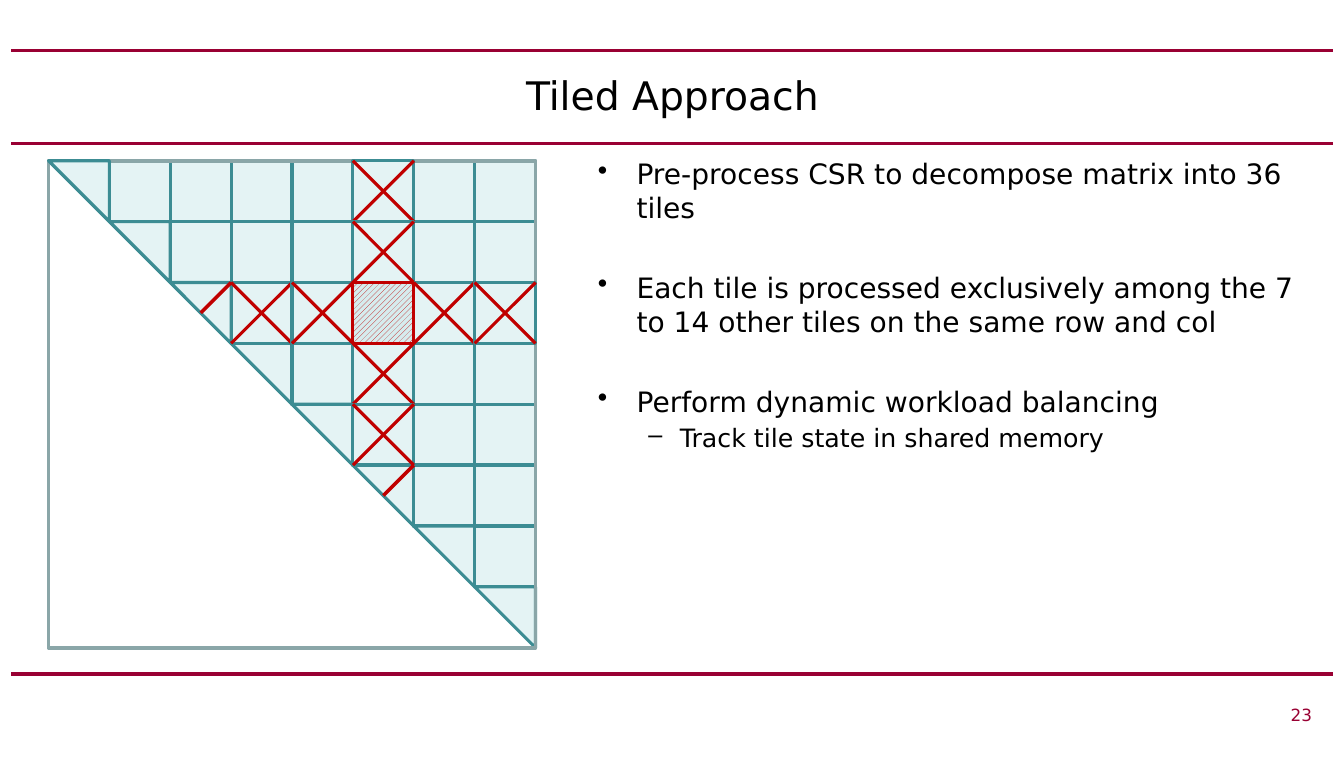
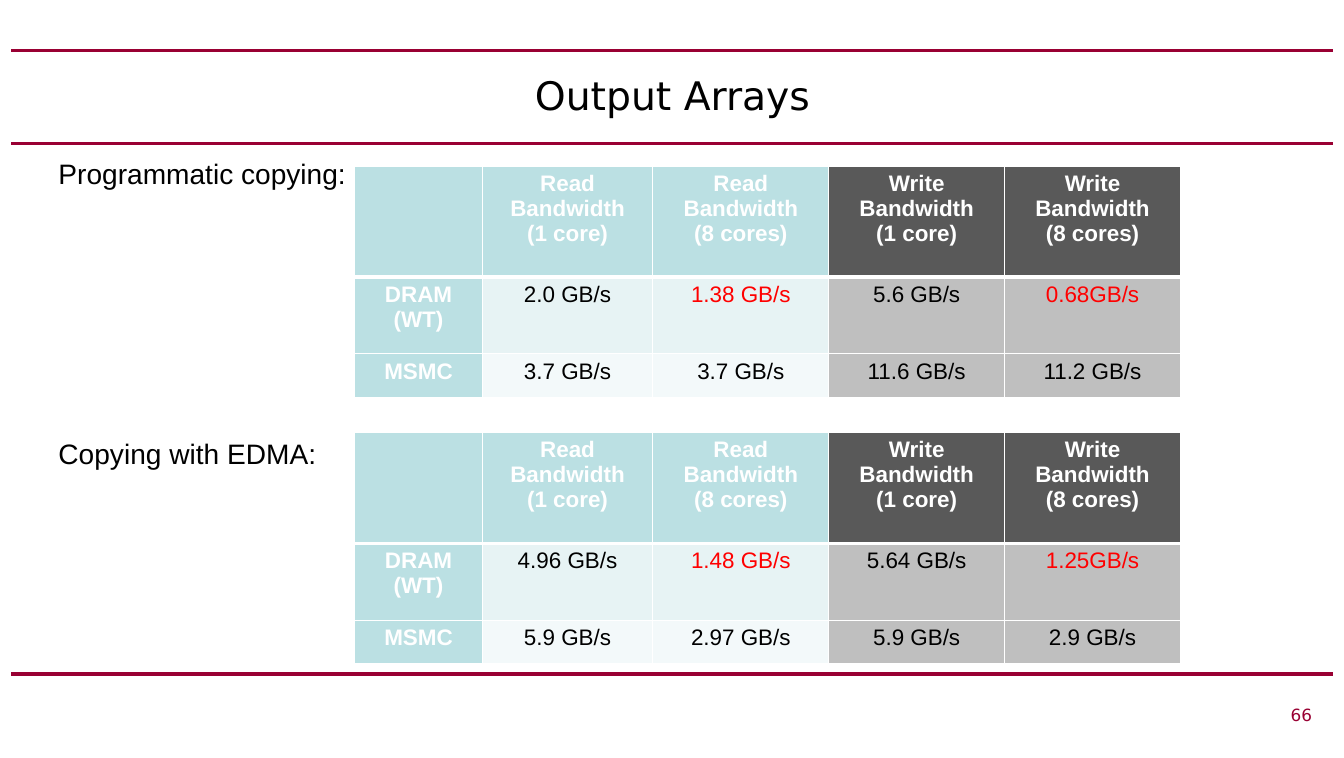
from itertools import product

from lxml import etree
from pptx import Presentation
from pptx.dml.color import RGBColor
from pptx.enum.dml import MSO_PATTERN
from pptx.enum.shapes import MSO_CONNECTOR, MSO_SHAPE
from pptx.enum.text import MSO_ANCHOR, PP_ALIGN
from pptx.oxml.ns import qn
from pptx.util import Cm, Pt

STRAIGHT = MSO_CONNECTOR.STRAIGHT
RECT, TRIANGLE = MSO_SHAPE.RECTANGLE, MSO_SHAPE.RIGHT_TRIANGLE
HATCH = MSO_PATTERN.WIDE_UPWARD_DIAGONAL
MIDDLE = MSO_ANCHOR.MIDDLE
LEFT, CENTER, RIGHT = PP_ALIGN.LEFT, PP_ALIGN.CENTER, PP_ALIGN.RIGHT

COLORS = {
    "rule": "990033", "text": "000000", "white": "FFFFFF", "alert": "FF0000",
    "tile": "E4F3F4", "tile_line": "3C8C93", "frame": "8AA6A8",
    "cross": "C00000", "focus": "D6ECEE", "head_read": "BBE0E3",
    "head_write": "595959", "read_1": "E7F3F4", "read_2": "F3F9FA",
    "write": "BFBFBF",
}
SANS, ARIAL = "DejaVu Sans", "Arial"
TITLE = {"name": SANS, "size": Pt(28)}
NUMBER = {"name": SANS, "size": Pt(12)}
BULLET = {"name": SANS, "size": Pt(20)}
SUB_BULLET = {"name": SANS, "size": Pt(18)}
LABEL = {"name": ARIAL, "size": Pt(20)}
HEAD = {"name": ARIAL, "size": Pt(16), "bold": True}
VALUE = {"name": ARIAL, "size": Pt(16), "bold": False}

RULE_YS = (1.27, 3.61, 16.94)
GRID, FOCUS_ROW, FOCUS_COL = 8, 2, 5
COL_WIDTHS = (3.2, 4.29, 4.42, 4.42, 4.42)
ROW_HEIGHTS = (2.79, 1.93, 1.09)
HEADERS = ["", "Read Bandwidth\n(1 core)", "Read Bandwidth\n(8 cores)",
           "Write Bandwidth\n(1 core)", "Write Bandwidth\n(8 cores)"]


def rgb(name):
    return RGBColor.from_string(COLORS[name])


def set_attrs(obj, values):
    for key, value in values.items():
        setattr(obj, key, value)


def add_text(p, text, fmt, color="text", align=LEFT):
    p.alignment = align
    r = p.add_run()
    r.text = text
    set_attrs(r.font, fmt)
    r.font.color.rgb = rgb(color)


def add_box(s, box):
    tf = s.shapes.add_textbox(*map(Cm, box)).text_frame
    tf.word_wrap = True
    return tf


def add_line(s, start, end, color, width=2.25):
    c = s.shapes.add_connector(STRAIGHT, *map(Cm, (*start, *end)))
    c.line.color.rgb = rgb(color)
    c.line.width = Pt(width)
    etree.SubElement(c._element.spPr, qn("a:effectLst"))


def add_outline(s, kind, box, line, width=2.25, fill=None):
    sp = s.shapes.add_shape(kind, *map(Cm, box))
    sp.shadow.inherit = False
    sp.line.color.rgb = rgb(line)
    sp.line.width = Pt(width)
    if fill:
        sp.fill.solid()
        sp.fill.fore_color.rgb = rgb(fill)
    else:
        sp.fill.background()
    return sp


def add_page(prs, title, number):
    s = prs.slides.add_slide(prs.slide_layouts[6])
    for y in RULE_YS:
        add_line(s, (0.28, y), (33.5, y), "rule")
    tf = add_box(s, (1.7, 1.27, 30.4, 2.21))
    tf.vertical_anchor = MIDDLE
    add_text(tf.paragraphs[0], title, TITLE, align=CENTER)
    tf = add_box(s, (9.58, 17.58, 23.65, 0.84))
    add_text(tf.paragraphs[0], number, NUMBER, "rule", RIGHT)
    return s


def add_matrix(s, left, top, size):
    step = size / GRID

    def corner(row, col):
        return left + col * step, top + row * step

    def add_tile(row, col):
        kind = TRIANGLE if row == col else RECT
        sp = add_outline(s, kind, (*corner(row, col), step, step),
                         "tile_line", fill="tile")
        if row == col:
            sp.rotation = 180
        return sp

    def is_crossed(row, col):
        return row != col and (row == FOCUS_ROW) != (col == FOCUS_COL)

    tiles = [(r, c) for r, c in product(range(GRID), repeat=2) if r <= c]
    special = [(0, 0), (FOCUS_ROW, FOCUS_COL)]
    crossed = [t for t in tiles if is_crossed(*t)]

    add_line(s, corner(0, 0), corner(6.4, 6.4), "tile_line")
    for tile in tiles:
        if tile not in special + crossed:
            add_tile(*tile)
    add_outline(s, RECT, (left, top, size, size), "frame", 2.75)
    for row, col in crossed:
        add_tile(row, col)
        add_line(s, corner(row, col), corner(row + 1, col + 1), "cross")
        add_line(s, corner(row + 1, col), corner(row, col + 1), "cross")
    for i in (FOCUS_ROW, FOCUS_COL):
        add_line(s, corner(i + 0.5, i + 0.5), corner(i, i + 1), "cross", 2.5)
    focus = add_tile(FOCUS_ROW, FOCUS_COL)
    focus.line.color.rgb = rgb("cross")
    focus.fill.patterned()
    focus.fill.pattern = HATCH
    focus.fill.fore_color.rgb = rgb("cross")
    focus.fill.back_color.rgb = rgb("focus")
    add_tile(0, 0)


def add_bullets(s, box, items):
    tf = add_box(s, box)
    for i, (level, text) in enumerate(items):
        p = tf.paragraphs[0] if i == 0 else tf.add_paragraph()
        p.level = level
        pPr = p._p.get_or_add_pPr()
        margin, indent = ((0.97, -0.97), (2.06, -0.79))[level]
        pPr.set("marL", str(Cm(margin)))
        pPr.set("indent", str(Cm(indent)))
        etree.SubElement(pPr, qn("a:buChar"), char="•–"[level])
        if i:
            p.space_before = Pt((33, 3.6)[level])
        add_text(p, text, (BULLET, SUB_BULLET)[level])


def set_borders(cell, row):
    widths = {"L": 1, "R": 1, "T": 3 if row == 1 else 1,
              "B": 3 if row == 0 else 1}
    tcPr = cell._tc.get_or_add_tcPr()
    for i, (side, width) in enumerate(widths.items()):
        ln = etree.Element(qn(f"a:ln{side}"), w=str(Pt(width)))
        fill = etree.SubElement(ln, qn("a:solidFill"))
        etree.SubElement(fill, qn("a:srgbClr"), val=COLORS["white"])
        tcPr.insert(i, ln)


def cell_fill(row, col):
    if col == 0:
        return "head_read"
    if col >= 3:
        return "write" if row else "head_write"
    return ("head_read", "read_1", "read_2")[row]


def add_bandwidth_table(s, left, top, values):
    rows = [HEADERS, ["DRAM (WT)", *values[0]], ["MSMC", *values[1]]]
    size = (sum(COL_WIDTHS), sum(ROW_HEIGHTS))
    shape = s.shapes.add_table(len(rows), len(HEADERS),
                               *map(Cm, (left, top, *size)))
    table = shape.table
    set_attrs(table, {"first_row": False, "horz_banding": False})
    for col, width in zip(table.columns, COL_WIDTHS):
        col.width = Cm(width)
    for row, height in zip(table.rows, ROW_HEIGHTS):
        row.height = Cm(height)
    for r, texts in enumerate(rows):
        for c, text in enumerate(texts):
            cell = table.cell(r, c)
            cell.fill.solid()
            cell.fill.fore_color.rgb = rgb(cell_fill(r, c))
            set_borders(cell, r)
            if not text:
                continue
            is_head = r == 0 or c == 0
            is_slow = r == 1 and c in (2, 4)
            color = "white" if is_head else "alert" if is_slow else "text"
            tf = cell.text_frame
            for i, line in enumerate(text.split("\n")):
                p = tf.add_paragraph() if i else tf.paragraphs[0]
                add_text(p, line, HEAD if is_head else VALUE, color, CENTER)


def add_copy_section(s, label, label_top, table_top, values):
    tf = add_box(s, (1.22, label_top, 7.92, 1.12))
    add_text(tf.paragraphs[0], label, LABEL)
    add_bandwidth_table(s, 8.92, table_top, values)


def tiled_slide(prs):
    s = add_page(prs, "Tiled Approach", "23")
    add_matrix(s, 1.22, 4.04, 12.24)
    add_bullets(s, (14.78, 3.81, 18.26, 12.9), [
        (0, "Pre-process CSR to decompose matrix into 36 tiles"),
        (0, "Each tile is processed exclusively among the 7 to 14 other "
            "tiles on the same row and col"),
        (0, "Perform dynamic workload balancing"),
        (1, "Track tile state in shared memory"),
    ])


def arrays_slide(prs):
    s = add_page(prs, "Output Arrays", "66")
    add_copy_section(s, "Programmatic copying:", 3.81, 4.17, [
        ["2.0 GB/s", "1.38 GB/s", "5.6 GB/s", "0.68GB/s"],
        ["3.7 GB/s", "3.7 GB/s", "11.6 GB/s", "11.2 GB/s"],
    ])
    add_copy_section(s, "Copying with EDMA:", 10.85, 10.87, [
        ["4.96 GB/s", "1.48 GB/s", "5.64 GB/s", "1.25GB/s"],
        ["5.9 GB/s", "2.97 GB/s", "5.9 GB/s", "2.9 GB/s"],
    ])


def main():
    prs = Presentation()
    set_attrs(prs, {"slide_width": Cm(33.78), "slide_height": Cm(19.05)})
    tiled_slide(prs)
    arrays_slide(prs)
    prs.save("out.pptx")


if __name__ == "__main__":
    main()
